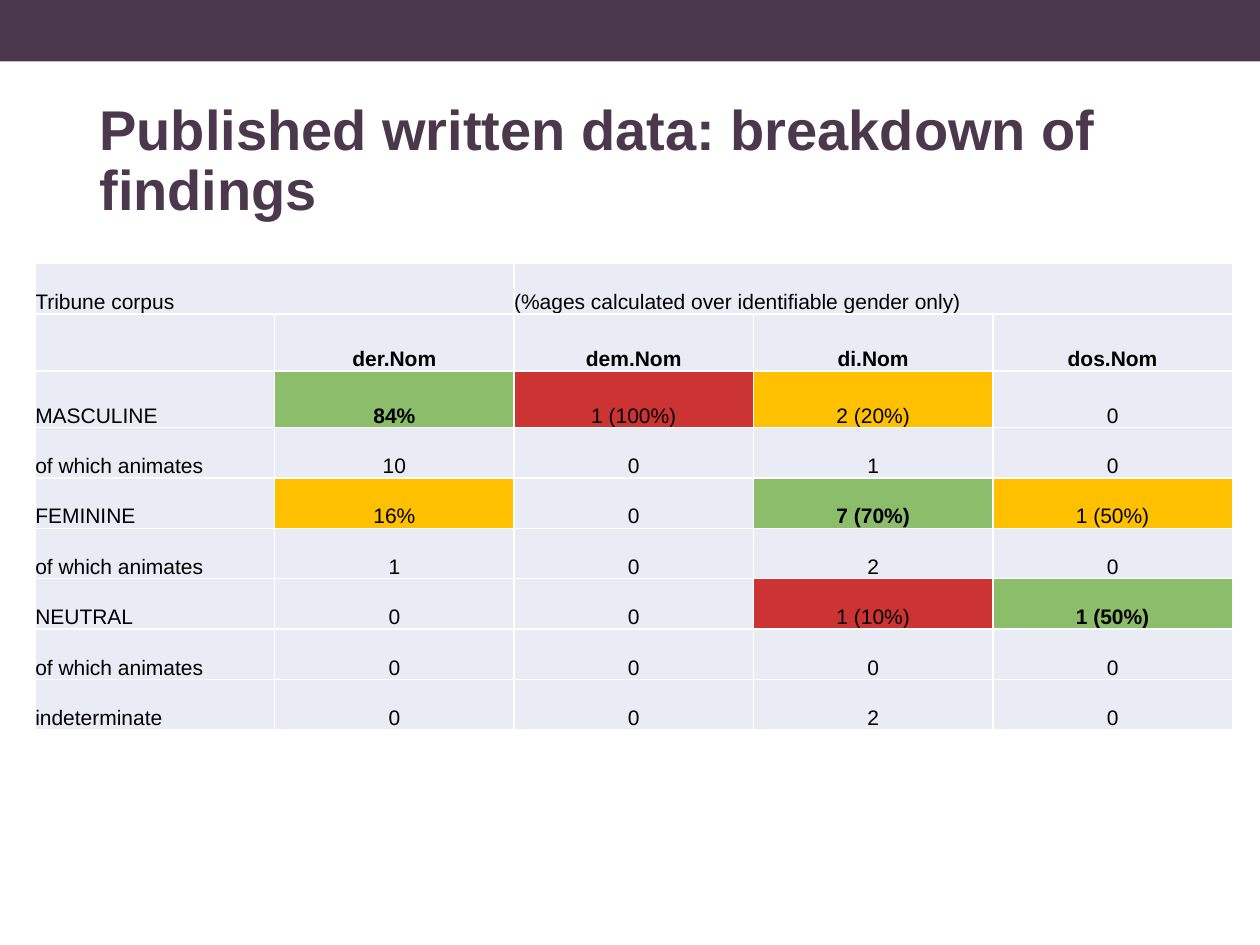
from dataclasses import dataclass

from pptx import Presentation
from pptx.dml.color import RGBColor as RGB
from pptx.enum.shapes import MSO_SHAPE as Shape
from pptx.enum.text import MSO_ANCHOR as Anchor, PP_ALIGN as Align
from pptx.oxml import parse_xml
from pptx.oxml.ns import nsdecls, qn
from pptx.oxml.xmlchemy import OxmlElement
from pptx.util import Inches, Pt


@dataclass(frozen=True)
class Theme:
    font: str = "Arial"
    plum: str = "4B384C"
    ink: str = "000000"
    line: str = "FFFFFF"
    cell: str = "E9EBF5"
    green: str = "70AD47"
    red: str = "C00000"
    amber: str = "FFC000"
    title_size: int = 32
    cell_size: int = 12
    tint: int = 80  # opacity of the green and red cells, in percent


class Deck:
    def __init__(self, theme, width=10, height=7.5):
        self.theme = theme
        self.prs = Presentation()
        self.prs.slide_width, self.prs.slide_height = Inches(width), Inches(height)
        self.s = self.prs.slides.add_slide(self.prs.slide_layouts[6])

    def box(self, x, y, w, h):
        """Turn shares of the slide's size into lengths."""
        sw, sh = self.prs.slide_width, self.prs.slide_height
        return round(x * sw), round(y * sh), round(w * sw), round(h * sh)

    def run(self, p, text, size, color, bold=False):
        r = p.add_run()
        r.text = text
        r.font.name, r.font.size, r.font.bold = self.theme.font, Pt(size), bold
        r.font.color.rgb = RGB.from_string(color)

    def band(self, x, y, w, h):
        sp = self.s.shapes.add_shape(Shape.RECTANGLE, *self.box(x, y, w, h))
        sp.shadow.inherit = False
        sp.fill.solid()
        sp.fill.fore_color.rgb = RGB.from_string(self.theme.plum)
        sp.line.fill.background()

    def title(self, text, x, y, w, h):
        tf = self.s.shapes.add_textbox(*self.box(x, y, w, h)).text_frame
        tf.word_wrap = True
        p = tf.paragraphs[0]
        p.line_spacing = 0.9
        self.run(p, text, self.theme.title_size, self.theme.plum, bold=True)

    def style_cell(self, cell, color):
        cell.margin_left = cell.margin_right = cell.margin_top = cell.margin_bottom = 0
        cell.vertical_anchor = Anchor.BOTTOM
        cell.fill.solid()
        cell.fill.fore_color.rgb = RGB.from_string(color)
        tc_pr = cell._tc.get_or_add_tcPr()
        if color in (self.theme.green, self.theme.red):
            alpha = OxmlElement("a:alpha")
            alpha.set("val", str(self.theme.tint * 1000))
            tc_pr.find(".//" + qn("a:srgbClr")).append(alpha)
        # Borders come before the fill
        for i, side in enumerate(("lnL", "lnR", "lnT", "lnB")):
            tc_pr.insert(i, parse_xml(
                f'<a:{side} {nsdecls("a")} w="{Pt(1)}"><a:solidFill>'
                f'<a:srgbClr val="{self.theme.line}"/></a:solidFill></a:{side}>'))

    def table(self, rows, heights, fills, bold, merges, x, y, w):
        n_cols = len(rows[0])
        left, top, width, _ = self.box(x, y, w, 0)
        table = self.s.shapes.add_table(
            len(rows), n_cols, left, top, width, Inches(sum(heights))).table
        table.first_row = table.horz_banding = False
        for col in table.columns:
            col.width = width // n_cols
        for i, (texts, height) in enumerate(zip(rows, heights)):
            table.rows[i].height = Inches(height)
            for j, text in enumerate(texts):
                cell = table.cell(i, j)
                self.style_cell(cell, fills.get((i, j), self.theme.cell))
                p = cell.text_frame.paragraphs[0]
                if i and j:
                    p.alignment = Align.CENTER
                if text:
                    self.run(p, text, self.theme.cell_size, self.theme.ink, (i, j) in bold)
        for row, first, last in merges:
            table.cell(row, first).merge(table.cell(row, last))


def main():
    theme = Theme()
    deck = Deck(theme)

    # Top band and title
    deck.band(0, 0, 1, 0.065)
    deck.title("Published written data: breakdown of findings", 0.069, 0.101, 0.862, 0.088)

    # Findings by gender and article form
    rows = [
        ("Tribune corpus", "", "(%ages calculated over identifiable gender only)", "", ""),
        ("", "der.Nom", "dem.Nom", "di.Nom", "dos.Nom"),
        ("MASCULINE", "84%", "1 (100%)", "2 (20%)", "0"),
        ("of which animates", "10", "0", "1", "0"),
        ("FEMININE", "16%", "0", "7 (70%)", "1 (50%)"),
        ("of which animates", "1", "0", "2", "0"),
        ("NEUTRAL", "0", "0", "1 (10%)", "1 (50%)"),
        ("of which animates", "0", "0", "0", "0"),
        ("indeterminate", "0", "0", "2", "0"),
    ]
    heights = [0.45 if i in (1, 2) else 0.4 for i in range(len(rows))]

    # Expected forms are green and bold, the others amber or red
    expected = [(2, 1), (4, 3), (6, 4)]
    fills = {
        **dict.fromkeys(expected, theme.green),
        **dict.fromkeys([(2, 3), (4, 1), (4, 4)], theme.amber),
        **dict.fromkeys([(2, 2), (6, 3)], theme.red),
    }
    bold = expected + [(1, j) for j in range(1, 5)]
    deck.table(rows, heights, fills, bold, [(0, 0, 1), (0, 2, 4)], 0.028, 0.279, 0.95)

    deck.prs.save("out.pptx")


if __name__ == "__main__":
    main()
